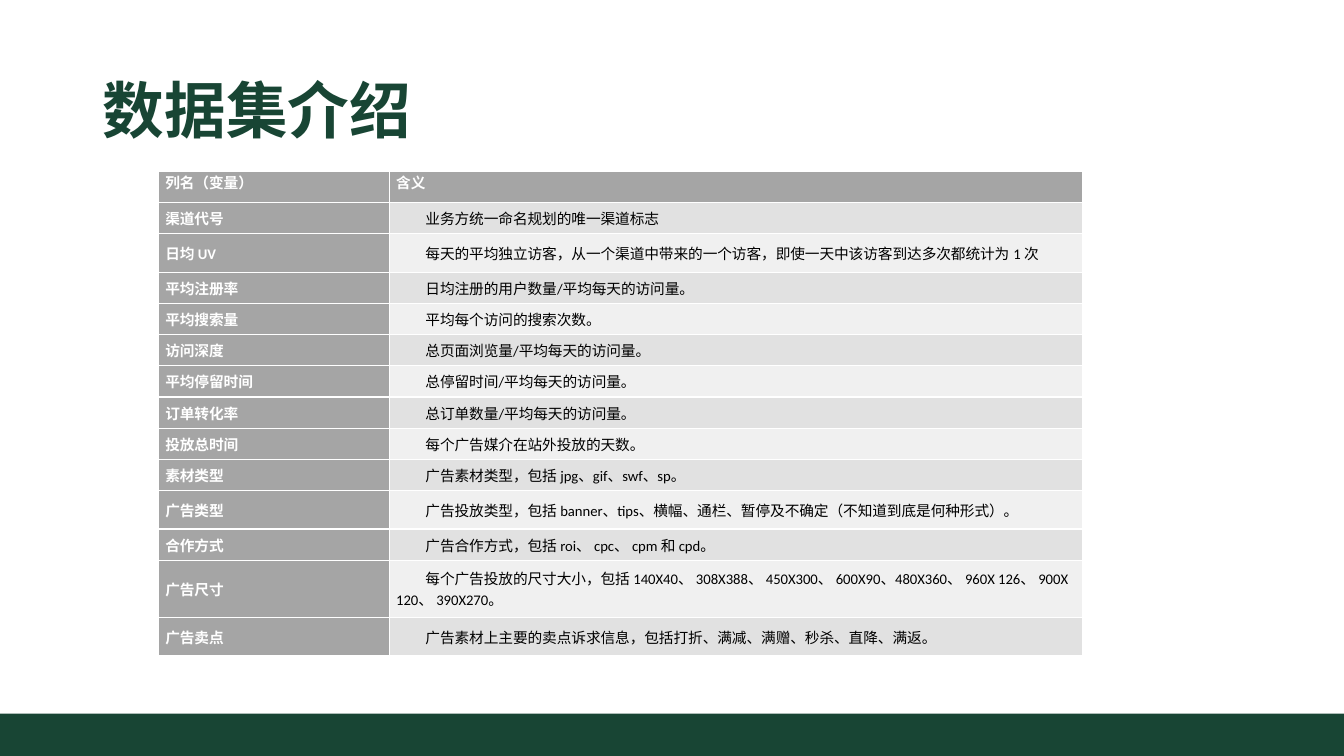
from pptx import Presentation
from pptx.dml.color import RGBColor
from pptx.enum.shapes import MSO_SHAPE
from pptx.enum.text import MSO_ANCHOR, PP_ALIGN
from pptx.util import Inches, Pt

GREEN, WHITE, BLACK = "184534", "FFFFFF", "000000"
HEADING_GREY, BANDS = "A5A5A5", ["F0F0F0", "E1E1E1"]


def paint(fill, color):
    fill.solid()
    fill.fore_color.rgb = RGBColor.from_string(color)


def style_font(font, name, size, color, bold):
    font.name = name
    font.size = Pt(size)
    font.bold = bold
    paint(font.fill, color)


variables = [
    ("列名（变量）", "含义", 0.31),
    ("渠道代号", "业务方统一命名规划的唯一渠道标志", 0.31),
    ("日均 UV", "每天的平均独立访客，从一个渠道中带来的一个访客，即使一天中该访客到达多次都统计为 1 次", 0.38),
    ("平均注册率", "日均注册的用户数量/平均每天的访问量。", 0.31),
    ("平均搜索量", "平均每个访问的搜索次数。", 0.31),
    ("访问深度", "总页面浏览量/平均每天的访问量。", 0.31),
    ("平均停留时间", "总停留时间/平均每天的访问量。", 0.31),
    ("订单转化率", "总订单数量/平均每天的访问量。", 0.31),
    ("投放总时间", "每个广告媒介在站外投放的天数。", 0.31),
    ("素材类型", "广告素材类型，包括 jpg、gif、swf、sp。", 0.31),
    ("广告类型", "广告投放类型，包括 banner、tips、横幅、通栏、暂停及不确定（不知道到底是何种形式）。", 0.38),
    ("合作方式", "广告合作方式，包括 roi、 cpc、 cpm 和 cpd。", 0.31),
    ("广告尺寸", "每个广告投放的尺寸大小，包括 140X40、 308X388、 450X300、 600X90、480X360、 960X 126、 900X 120、 390X270。", 0.57),
    ("广告卖点", "广告素材上主要的卖点诉求信息，包括打折、满减、满赠、秒杀、直降、满返。", 0.38),
]
left_aligned = {"广告类型", "广告尺寸", "广告卖点"}

prs = Presentation()
prs.slide_width = Inches(13.33)
prs.slide_height = Inches(7.5)
slide = prs.slides.add_slide(prs.slide_layouts[5])

footer_band = slide.shapes.add_shape(
    MSO_SHAPE.RECTANGLE, Inches(0), Inches(7.08), Inches(13.33), Inches(0.42))
footer_band.shadow.inherit = False
paint(footer_band.fill, GREEN)
footer_band.line.fill.background()

title = slide.shapes.title
title.left, title.top = Inches(0.92), Inches(0.4)
title.width, title.height = Inches(11.5), Inches(1.45)
title.text_frame.text = "数据集介绍"
title.text_frame.vertical_anchor = MSO_ANCHOR.MIDDLE
heading = title.text_frame.paragraphs[0]
heading.alignment = PP_ALIGN.LEFT
heading.line_spacing = 0.9
style_font(heading.font, "Montserrat", 44, GREEN, True)

dictionary = slide.shapes.add_table(
    len(variables), 2, Inches(1.57), Inches(1.7), Inches(9.17), Inches(4.83)).table
dictionary.first_col = True
dictionary.columns[0].width = Inches(2.29)
dictionary.columns[1].width = Inches(6.88)

for row, (variable, meaning, height) in enumerate(variables):
    dictionary.rows[row].height = Inches(height)
    for column, wording in enumerate((variable, meaning)):
        is_heading = row == 0 or column == 0
        cell = dictionary.cell(row, column)
        cell.text = wording
        cell.margin_left = cell.margin_right = Inches(0.07)
        cell.margin_top = cell.margin_bottom = Inches(0)
        cell.vertical_anchor = MSO_ANCHOR.MIDDLE if row else MSO_ANCHOR.TOP
        paint(cell.fill, HEADING_GREY if is_heading else BANDS[row % 2])
        paragraph = cell.text_frame.paragraphs[0]
        paragraph.space_before = Pt(2)
        paragraph.space_after = Pt(4 if is_heading else 6)
        style_font(paragraph.font, "Calibri", 10.5, WHITE if is_heading else BLACK, is_heading)
        if not is_heading:
            paragraph._p.get_or_add_pPr().set("indent", str(Inches(0.29)))
            if variable not in left_aligned:
                paragraph.alignment = PP_ALIGN.JUSTIFY

prs.save("out.pptx")
